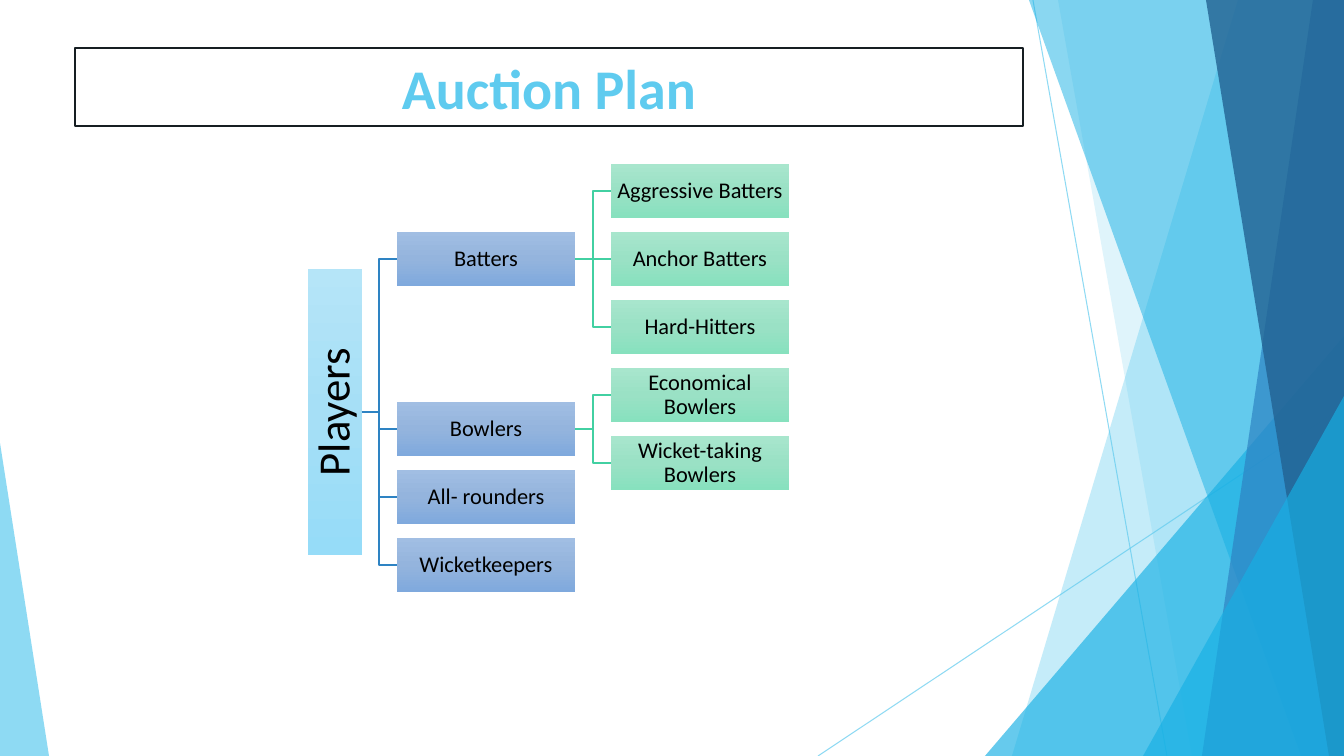
from copy import deepcopy
from dataclasses import dataclass
from typing import Any

from pptx import Presentation
from pptx.dml.color import RGBColor
from pptx.enum.shapes import MSO_CONNECTOR as Wire, MSO_SHAPE as Form
from pptx.enum.text import MSO_ANCHOR as Anchor, PP_ALIGN as Align
from pptx.oxml.ns import qn
from pptx.oxml.xmlchemy import OxmlElement as Element
from pptx.util import Emu, Pt

WIDE, HIGH = 1344, 756
SCALE = 12192000 / WIDE
BOX_W, BOX_H, HALF, TOP = 178, 54, 34, 164
GROUP_X, LEAF_X = 397, 611
ROOT_X, ROOT_Y, ROOT_W = 335, 412, 286
SKY, AQUA, BLUE, NAVY, MINT = "5FCBEF", "17B0E4", "2E83C3", "226292", "42D0A2"
ROOT_FILL = ("B5E5F8", "A6DFF6", "96DCF8")
GROUP_FILL = ("A1BEE3", "94B4DD", "7FA9DD")
LEAF_FILL = ("A8E6CD", "9AE1C5", "87E1BE")


@dataclass(frozen=True)
class Ray:
    """A thin line of the backdrop."""
    x1: int
    y1: int
    x2: int
    y2: int


@dataclass(frozen=True)
class Band:
    """A see-through band that runs to the right edge."""
    top: int
    foot: int
    tone: str
    alpha: int


@dataclass(frozen=True)
class Wedge:
    """A see-through triangle at the foot of the slide."""
    x: int
    y: int
    wide: int
    peak: int
    tone: str
    alpha: int


@dataclass(frozen=True)
class Node:
    """A box of the tree, placed by half rows."""
    text: str
    half: int

    @property
    def top(self) -> int:
        """Give the top of the box."""
        return TOP + HALF * self.half

    @property
    def mid(self) -> int:
        """Give the middle height of the box."""
        return self.top + BOX_H // 2


RAYS = (Ray(1033, 0, 1167, HIGH), Ray(WIDE, 406, 818, HIGH))
DECOR = (
    Band(1238, 1012, SKY, 36),
    Band(1058, 1192, SKY, 20),
    Wedge(985, 336, 359, 1, AQUA, 66),
    Band(1029, 1301, AQUA, 50),
    Band(1313, 1202, BLUE, 70),
    Band(1206, 1329, NAVY, 80),
    Wedge(1143, 396, 201, 1, AQUA, 66),
    Wedge(0, 443, 49, 0, SKY, 70),
)
TREE = {
    Node("Batters", 2): (Node("Aggressive Batters", 0), Node("Anchor Batters", 2),
                         Node("Hard-Hitters", 4)),
    Node("Bowlers", 7): (Node("Economical Bowlers", 6), Node("Wicket-taking Bowlers", 8)),
    Node("All- rounders", 9): (),
    Node("Wicketkeepers", 11): (),
}


def px(size: float) -> Emu:
    """Turn px into EMU."""
    return Emu(round(size * SCALE))


def hue(code: str) -> RGBColor:
    """Turn a hex string into a colour."""
    return RGBColor.from_string(code)


def put(item: Any, **vals: Any) -> None:
    """Set each format value on the item."""
    for name, val in vals.items():
        setattr(item, name, val)


def fade(shape: Any, alpha: int) -> None:
    """Give the first plain colour of the shape an alpha in percent."""
    mark = Element("a:alpha")
    mark.set("val", str(alpha * 1000))
    next(shape._element.spPr.iter(qn("a:srgbClr"))).append(mark)


def paint(shape: Any, tone: str, alpha: int) -> None:
    """Fill a backdrop shape with a see-through colour."""
    shape.shadow.inherit = False
    shape.fill.solid()
    shape.fill.fore_color.rgb = hue(tone)
    shape.line.fill.background()
    fade(shape, alpha)


def blend(shape: Any, tones: tuple[str, ...]) -> None:
    """Fill a shape from top to foot with three tones."""
    shape.fill.gradient()
    shape.fill.gradient_angle = 270
    grad = shape._element.spPr.find(qn("a:gradFill"))
    grad.set("rotWithShape", "0")
    stops = grad.find(qn("a:gsLst"))
    stops.append(deepcopy(stops[0]))
    for spot, stop in enumerate(shape.fill.gradient_stops):
        stop.position = spot / 2
        stop.color.rgb = hue(tones[spot])


def stroke(line: Any, tone: str, width: float) -> None:
    """Set the colour and width of a line."""
    line.color.rgb = hue(tone)
    line.width = Pt(width)


def link(tree: Any, x1: int, y1: int, x2: int, y2: int, tone: str, width: float) -> Any:
    """Draw a straight line."""
    wire = tree.add_connector(Wire.STRAIGHT, px(x1), px(y1), px(x2), px(y2))
    stroke(wire.line, tone, width)
    wire._element.spPr.append(Element("a:effectLst"))
    return wire


def bend(tree: Any, x1: int, y1: int, x2: int, y2: int, tone: str) -> None:
    """Draw a branch with two right angles."""
    mid = (x1 + x2) // 2
    pen = tree.build_freeform(x1, y1, scale=SCALE)
    pen.add_line_segments([(mid, y1), (mid, y2), (x2, y2)], close=False)
    shape = pen.convert_to_shape()
    shape.shadow.inherit = False
    shape.fill.background()
    stroke(shape.line, tone, 1)


def label(tree: Any, text: str, x: int, y: int, wide: int, high: int, size: int,
          tone: str = "000000", inset: int = 1, bold: bool = False, space: float = 0.9) -> Any:
    """Draw a bare box with centred text."""
    shape = tree.add_shape(Form.RECTANGLE, px(x), px(y), px(wide), px(high))
    shape.shadow.inherit = False
    shape.fill.background()
    shape.line.fill.background()
    sides = {f"margin_{side}": px(inset) for side in ("left", "right", "top", "bottom")}
    put(shape.text_frame, word_wrap=True, vertical_anchor=Anchor.MIDDLE, **sides)
    para = shape.text_frame.paragraphs[0]
    put(para, text=text, alignment=Align.CENTER, line_spacing=space)
    put(para.runs[0].font, name="Calibri", size=Pt(size), bold=bold)
    para.runs[0].font.color.rgb = hue(tone)
    return shape


def box(tree: Any, node: Node, x: int, tones: tuple[str, ...]) -> Any:
    """Draw a box of the tree."""
    shape = label(tree, node.text, x, node.top, BOX_W, BOX_H, 16)
    blend(shape, tones)
    return shape


def back(tree: Any) -> None:
    """Draw the backdrop."""
    for ray in RAYS:
        fade(link(tree, ray.x1, ray.y1, ray.x2, ray.y2, SKY, 0.75), 70)
    for part in DECOR:
        if isinstance(part, Band):
            pen = tree.build_freeform(part.top, 0, scale=SCALE)
            pen.add_line_segments([(WIDE, 0), (WIDE, HIGH), (part.foot, HIGH)])
            shape = pen.convert_to_shape()
        else:
            shape = tree.add_shape(Form.ISOSCELES_TRIANGLE, px(part.x), px(part.y),
                                   px(part.wide), px(HIGH - part.y))
            shape.adjustments[0] = part.peak
        paint(shape, part.tone, part.alpha)


def chart(tree: Any) -> None:
    """Draw the tree of players."""
    root = label(tree, "Players", ROOT_X - ROOT_W // 2, ROOT_Y - BOX_H // 2,
                 ROOT_W, BOX_H, 32, inset=2)
    root.rotation = 270
    blend(root, ROOT_FILL)
    for group, leaves in TREE.items():
        bend(tree, ROOT_X + BOX_H // 2, ROOT_Y, GROUP_X, group.mid, BLUE)
        stem = box(tree, group, GROUP_X, GROUP_FILL)
        for leaf in leaves:
            tip = box(tree, leaf, LEAF_X, LEAF_FILL)
            ends = (GROUP_X + BOX_W, group.mid, LEAF_X, leaf.mid, MINT)
            if leaf.half == group.half:
                wire = link(tree, *ends, 1)
                wire.begin_connect(stem, 3)
                wire.end_connect(tip, 1)
            else:
                bend(tree, *ends)


def main() -> None:
    """Build and save the slide."""
    deck = Presentation()
    put(deck, slide_width=px(WIDE), slide_height=px(HIGH))
    tree = deck.slides.add_slide(deck.slide_layouts[6]).shapes
    back(tree)
    title = label(tree, "Auction Plan", 75, 48, 948, 78, 40, SKY, 5, True, 1.0)
    stroke(title.line, "161E22", 1)
    chart(tree)
    deck.save("out.pptx")


if __name__ == "__main__":
    main()
